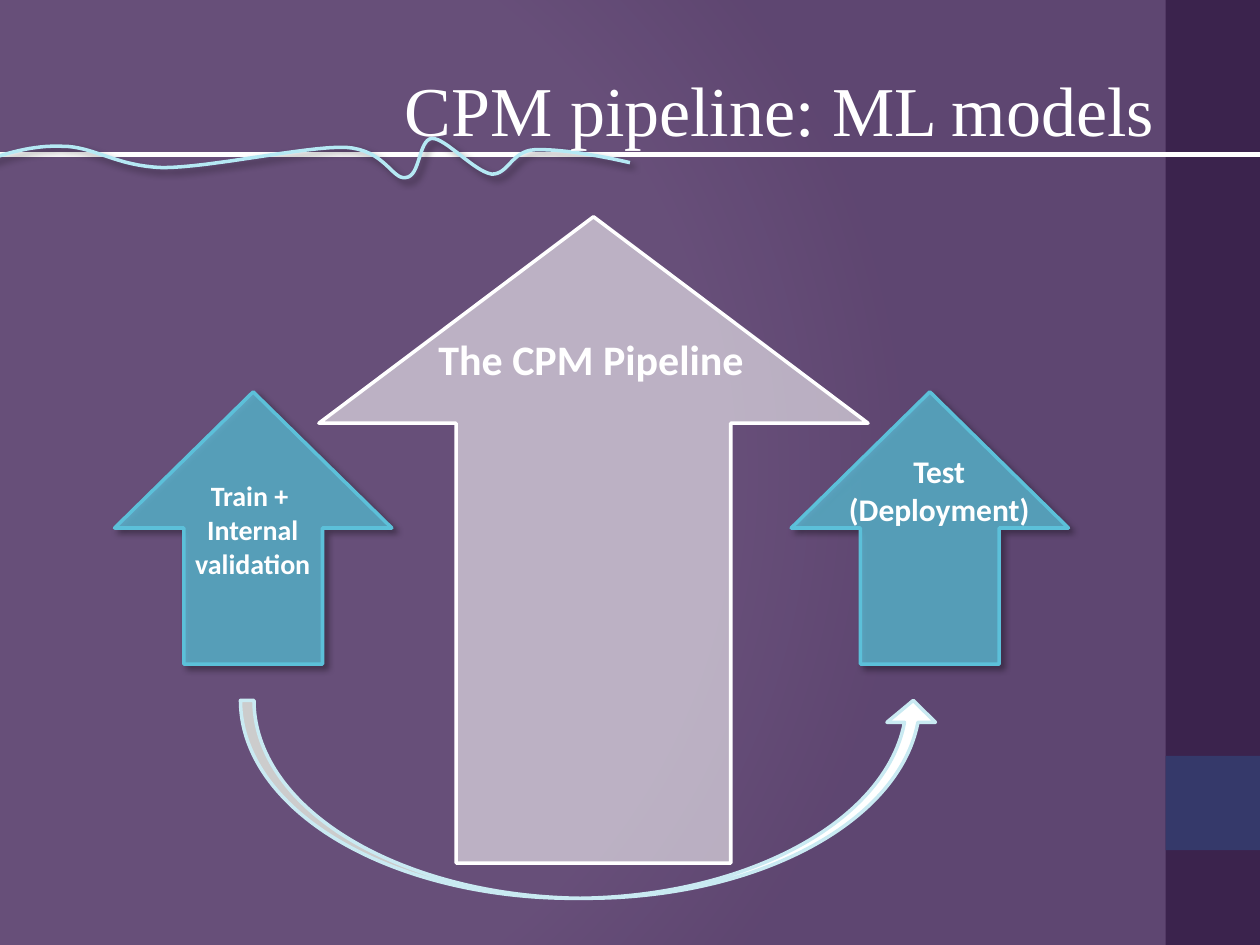
from itertools import pairwise

from lxml import etree
from pptx import Presentation
from pptx.dml.color import RGBColor
from pptx.enum.shapes import MSO_CONNECTOR as LINK, MSO_SHAPE as SHAPE
from pptx.enum.text import MSO_ANCHOR as ANCHOR, PP_ALIGN as ALIGN
from pptx.oxml import parse_xml
from pptx.oxml.ns import nsdecls, qn
from pptx.util import Cm, Pt

COLORS = {
    "white": "FFFFFF", "silver": "DADADA", "strip": "464646", "square": "2DA2BF",
    "veil": "381850", "wave": "B5E9F4", "loop": "C9EAF2", "step": "5CC0D9",
    "shadow": "000000",
}

TITLE = "CPM pipeline: ML models"
PANELS = [
    ((23.5, 0, 1.9, 19.05), "strip", 100),
    ((23.5, 15.24, 1.9, 1.9), "square", 100),
    ((-0.08, 0, 25.55, 19.05), "veil", 76),
]
PIPELINE = {
    "box": (6.43, 4.37, 11.07, 13.03), "color": "white", "alpha": 56, "shadow": False,
    "label": "The CPM Pipeline", "label_box": (8.51, 6.6, 6.81, 1.27), "size": 24,
}
STEPS = [
    {"box": (15.95, 7.9, 5.59, 5.49), "color": "step", "alpha": 76, "shadow": True,
     "label": "Test\n(Deployment)", "label_box": (16.74, 8.99, 4.39, 1.8), "size": 18},
    {"box": (2.31, 7.9, 5.59, 5.49), "color": "step", "alpha": 76, "shadow": True,
     "label": "Train + \nInternal\nvalidation ", "label_box": (3.66, 9.53, 2.87, 2.31), "size": 16},
]
WAVE_START = (-0.43, 3.28)
WAVE_CURVES = [
    ((0.1, 3.1), (0.66, 2.92), (1.27, 2.95)),
    ((1.88, 2.95), (2.34, 3.35), (3.28, 3.38)),
    ((4.24, 3.38), (6.15, 2.95), (6.96, 2.97)),
    ((7.77, 3.02), (7.9, 3.63), (8.18, 3.58)),
    ((8.48, 3.56), (8.43, 2.82), (8.71, 2.79)),
    ((8.99, 2.79), (9.55, 3.45), (9.91, 3.51)),
    ((10.24, 3.53), (10.31, 3.05), (10.77, 3.02)),
    ((11.25, 3.0), (12.01, 3.12), (12.7, 3.28)),
]
CURVE_STEPS = 16


def rgb(name):
    return RGBColor.from_string(COLORS[name])


def cm(values):
    return [Cm(value) for value in values]


def paint(shape, color, alpha=100):
    shape.shadow.inherit = False
    shape.fill.solid()
    shape.fill.fore_color.rgb = rgb(color)
    if alpha < 100:
        tint = next(shape.element.spPr.iter(qn("a:srgbClr")))
        etree.SubElement(tint, qn("a:alpha"), val=str(alpha * 1000))


def outline(shape, color, width=2):
    shape.line.color.rgb = rgb(color)
    shape.line.width = Pt(width)


def cast_shadow(shape):
    shape.shadow.inherit = False
    shape.element.spPr.find(qn("a:effectLst")).append(parse_xml(
        f'<a:outerShdw {nsdecls("a")} blurRad="{Pt(4)}" dist="{Pt(3)}" dir="2700000" rotWithShape="0">'
        f'<a:srgbClr val="{COLORS["shadow"]}"><a:alpha val="40000"/></a:srgbClr></a:outerShdw>'))


def write(frame, text, size, font, align, bold=False):
    frame.text = text
    frame.word_wrap = True
    for paragraph in frame.paragraphs:
        paragraph.alignment = align
        for run in paragraph.runs:
            run.font.name = font
            run.font.size = Pt(size)
            run.font.bold = bold
            run.font.color.rgb = rgb("white")


def add_background(slide):
    slide.background.fill.solid()
    properties = next(slide.element.iter(qn("p:bgPr")))
    stops = "".join(
        f'<a:gs pos="{position * 1000}"><a:srgbClr val="{COLORS[color]}"/></a:gs>'
        for position, color in [(0, "white"), (75, "white"), (100, "silver")])
    properties.replace(properties[0], parse_xml(
        f'<a:gradFill {nsdecls("a")} rotWithShape="1"><a:gsLst>{stops}</a:gsLst>'
        '<a:path path="circle"><a:fillToRect l="20000" t="50000" r="100000" b="50000"/></a:path>'
        '</a:gradFill>'))


def add_wave(shapes):
    ends = [WAVE_START] + [curve[-1] for curve in WAVE_CURVES]
    points = []
    for (start, end), (first, second, _) in zip(pairwise(ends), WAVE_CURVES):
        for step in range(1, CURVE_STEPS + 1):
            t = step / CURVE_STEPS
            u = 1 - t
            points.append(tuple(
                Cm(u**3 * a + 3 * u * u * t * b + 3 * u * t * t * c + t**3 * d)
                for a, b, c, d in zip(start, first, second, end)))
    builder = shapes.build_freeform(*cm(WAVE_START))
    builder.add_line_segments(points, close=False)
    wave = builder.convert_to_shape()
    wave.fill.background()
    outline(wave, "wave")
    cast_shadow(wave)


def add_labelled_arrow(shapes, part):
    group = shapes.add_group_shape()
    arrow = group.shapes.add_shape(SHAPE.UP_ARROW, *cm(part["box"]))
    paint(arrow, part["color"], part["alpha"])
    outline(arrow, part["color"])
    if part["shadow"]:
        cast_shadow(arrow)
    else:
        arrow.adjustments[1] = 0.376
    label = group.shapes.add_textbox(*cm(part["label_box"]))
    write(label.text_frame, part["label"], part["size"], "Calibri", ALIGN.CENTER, bold=True)


def main():
    deck = Presentation()
    deck.slide_width, deck.slide_height = Cm(25.4), Cm(19.05)
    slide = deck.slides.add_slide(deck.slide_layouts[5])
    shapes = slide.shapes
    add_background(slide)

    for box, color, alpha in PANELS:
        panel = shapes.add_shape(SHAPE.RECTANGLE, *cm(box))
        paint(panel, color, alpha)
        panel.line.fill.background()

    rule = shapes.add_connector(LINK.STRAIGHT, *cm((27.08, 3.12, -0.71, 3.12)))
    outline(rule, "white", 3)
    etree.SubElement(rule.element.spPr, qn("a:effectLst"))
    add_wave(shapes)

    title = shapes.title
    title.element.getparent().append(title.element)
    title.left, title.top, title.width, title.height = cm((6.91, 0.05, 16.61, 4.27))
    write(title.text_frame, TITLE, 40, "Times New Roman", ALIGN.RIGHT)
    title.text_frame.vertical_anchor = ANCHOR.MIDDLE

    add_labelled_arrow(shapes, PIPELINE)

    loop = shapes.add_shape(SHAPE.CURVED_UP_ARROW, *cm((4.85, 14.12, 14.05, 3.99)))
    for index, value in enumerate((0.068, 0.245, 0.111)):
        loop.adjustments[index] = value
    paint(loop, "white")
    outline(loop, "loop")

    for step in STEPS:
        add_labelled_arrow(shapes, step)

    deck.save("out.pptx")


if __name__ == "__main__":
    main()
